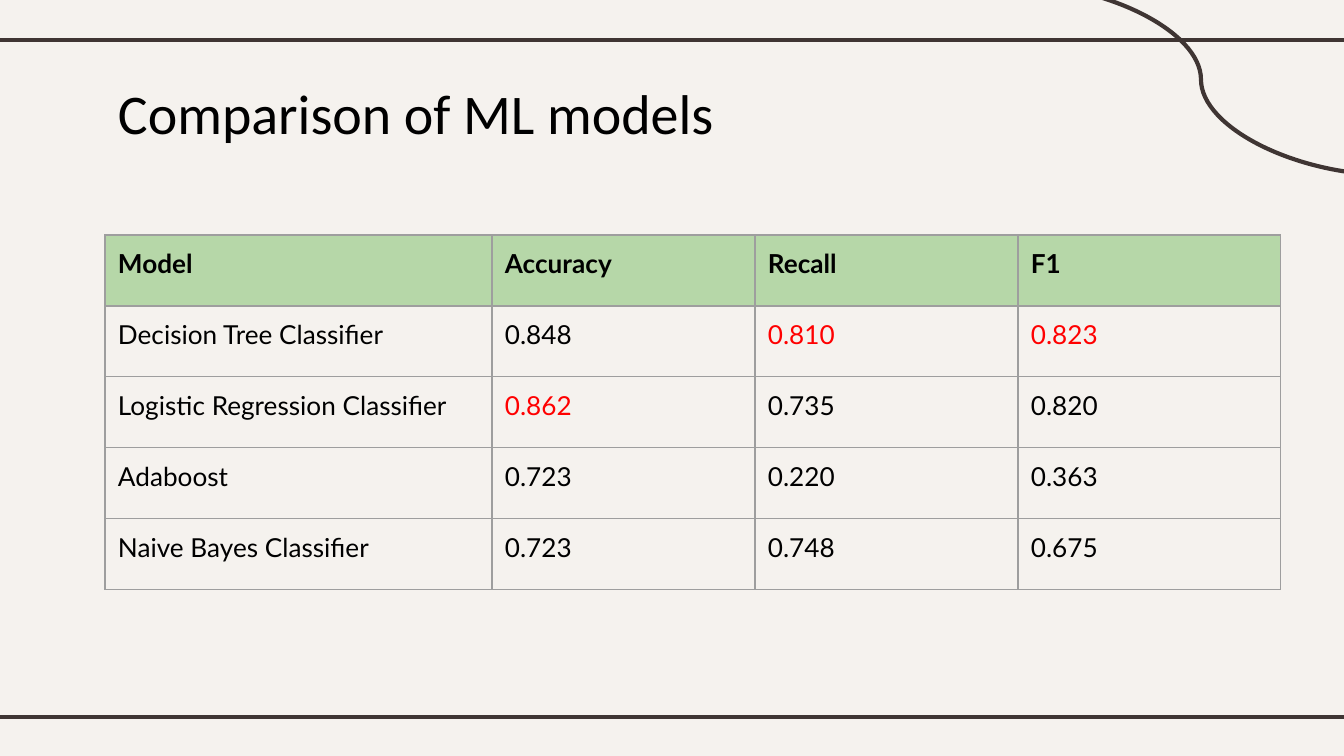
from lxml import etree
from pptx import Presentation
from pptx.dml.color import RGBColor
from pptx.enum.shapes import MSO_CONNECTOR
from pptx.enum.text import MSO_ANCHOR, MSO_AUTO_SIZE, PP_ALIGN
from pptx.oxml.ns import qn
from pptx.util import Pt

STRAIGHT, CURVE = MSO_CONNECTOR.STRAIGHT, MSO_CONNECTOR.CURVE
TOP, LEFT = MSO_ANCHOR.TOP, PP_ALIGN.LEFT
NO_AUTOFIT = MSO_AUTO_SIZE.NONE

CREAM = RGBColor(0xF5, 0xF2, 0xEE)
BROWN = RGBColor(0x3F, 0x35, 0x33)
GREEN = RGBColor(0xB6, 0xD7, 0xA8)
GREY = RGBColor(0x9E, 0x9E, 0x9E)
BLACK = RGBColor(0x00, 0x00, 0x00)
RED = RGBColor(0xFF, 0x00, 0x00)

WIDTH, HEIGHT = 1344, 756
INSET = 13
COLUMN_WIDTHS = (387, 263, 263, 263)
ROW_HEIGHT = 71

HEADER = ("Model", "Accuracy", "Recall", "F1")
SCORES = (
    ("Decision Tree Classifier", 0.848, 0.810, 0.823),
    ("Logistic Regression Classifier", 0.862, 0.735, 0.820),
    ("Adaboost", 0.723, 0.220, 0.363),
    ("Naive Bayes Classifier", 0.723, 0.748, 0.675),
)


def px(length):
    """Turn pixels (134.4 to the inch) into EMU."""
    return round(length * 914400 / 134.4)


def set_insets(target):
    target.margin_left = target.margin_right = px(INSET)
    target.margin_top = target.margin_bottom = px(INSET)


def style_paragraph(para, font_name, size, color, bold=False):
    para.alignment = LEFT
    para.font.name = font_name
    para.font.size = Pt(size)
    para.font.bold = bold
    para.font.color.rgb = color


def add_line(page, kind, left, top, right, bottom):
    line = page.shapes.add_connector(kind, px(left), px(top), px(right), px(bottom))
    line.line.color.rgb = BROWN
    line.line.width = Pt(2.25)
    etree.SubElement(line._element.spPr, qn("a:effectLst"))


def set_title(page, text):
    title = page.shapes.title
    title.left, title.top = px(105), px(66)
    title.width, title.height = px(692), px(85)
    frame = title.text_frame
    frame.text = text
    frame.word_wrap = True
    frame.auto_size = NO_AUTOFIT
    frame.vertical_anchor = TOP
    set_insets(frame)
    para = frame.paragraphs[0]
    para.line_spacing = 1.0
    style_paragraph(para, "Calibri", 30, BLACK)


def set_borders(cell):
    properties = cell._tc.get_or_add_tcPr()
    for position, side in enumerate(("lnL", "lnR", "lnT", "lnB")):
        border = etree.Element(qn(f"a:{side}"), w=str(Pt(0.75)))
        fill = etree.SubElement(border, qn("a:solidFill"))
        etree.SubElement(fill, qn("a:srgbClr"), val=str(GREY))
        properties.insert(position, border)


def fill_cell(cell, text, color=BLACK, header=False):
    cell.text = text
    cell.vertical_anchor = TOP
    set_insets(cell)
    if header:
        cell.fill.solid()
        cell.fill.fore_color.rgb = GREEN
    else:
        cell.fill.background()
    set_borders(cell)
    style_paragraph(cell.text_frame.paragraphs[0], "Lato", 14, color, header)


def add_score_table(page, left, top):
    row_count = len(SCORES) + 1
    frame = page.shapes.add_table(
        row_count, len(HEADER), px(left), px(top),
        px(sum(COLUMN_WIDTHS)), px(ROW_HEIGHT * row_count))
    table = frame.table
    table.horz_banding = False
    for column, width in zip(table.columns, COLUMN_WIDTHS):
        column.width = px(width)
    for row in table.rows:
        row.height = px(ROW_HEIGHT)

    for column, label in enumerate(HEADER):
        fill_cell(table.cell(0, column), label, header=True)

    # The best score of each column is red
    best = [max(scores) for scores in list(zip(*SCORES))[1:]]
    for row, (model, *scores) in enumerate(SCORES, start=1):
        fill_cell(table.cell(row, 0), model)
        for column, score in enumerate(scores, start=1):
            color = RED if score == best[column - 1] else BLACK
            fill_cell(table.cell(row, column), f"{score:.3f}", color)


def main():
    deck = Presentation()
    deck.slide_width, deck.slide_height = px(WIDTH), px(HEIGHT)
    page = deck.slides.add_slide(deck.slide_layouts[5])
    page.background.fill.solid()
    page.background.fill.fore_color.rgb = CREAM

    # Frame lines and corner curve
    for y in (40, 717):
        add_line(page, STRAIGHT, 0, y, WIDTH, y)
    add_line(page, CURVE, 1012, -16, 1390, 175)

    # Content
    set_title(page, "Comparison of ML models")
    add_score_table(page, 105, 235)

    deck.save("out.pptx")


if __name__ == "__main__":
    main()
